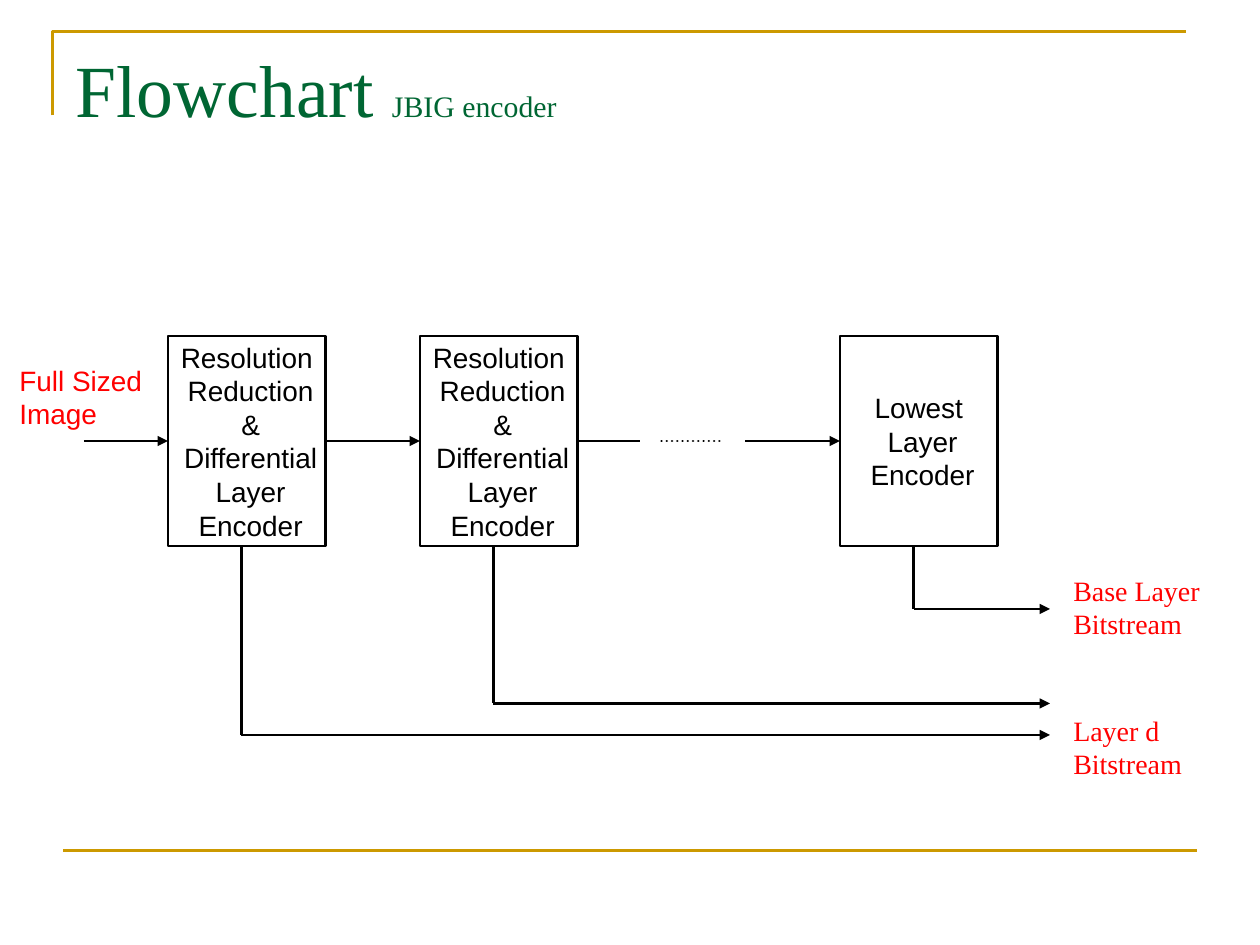
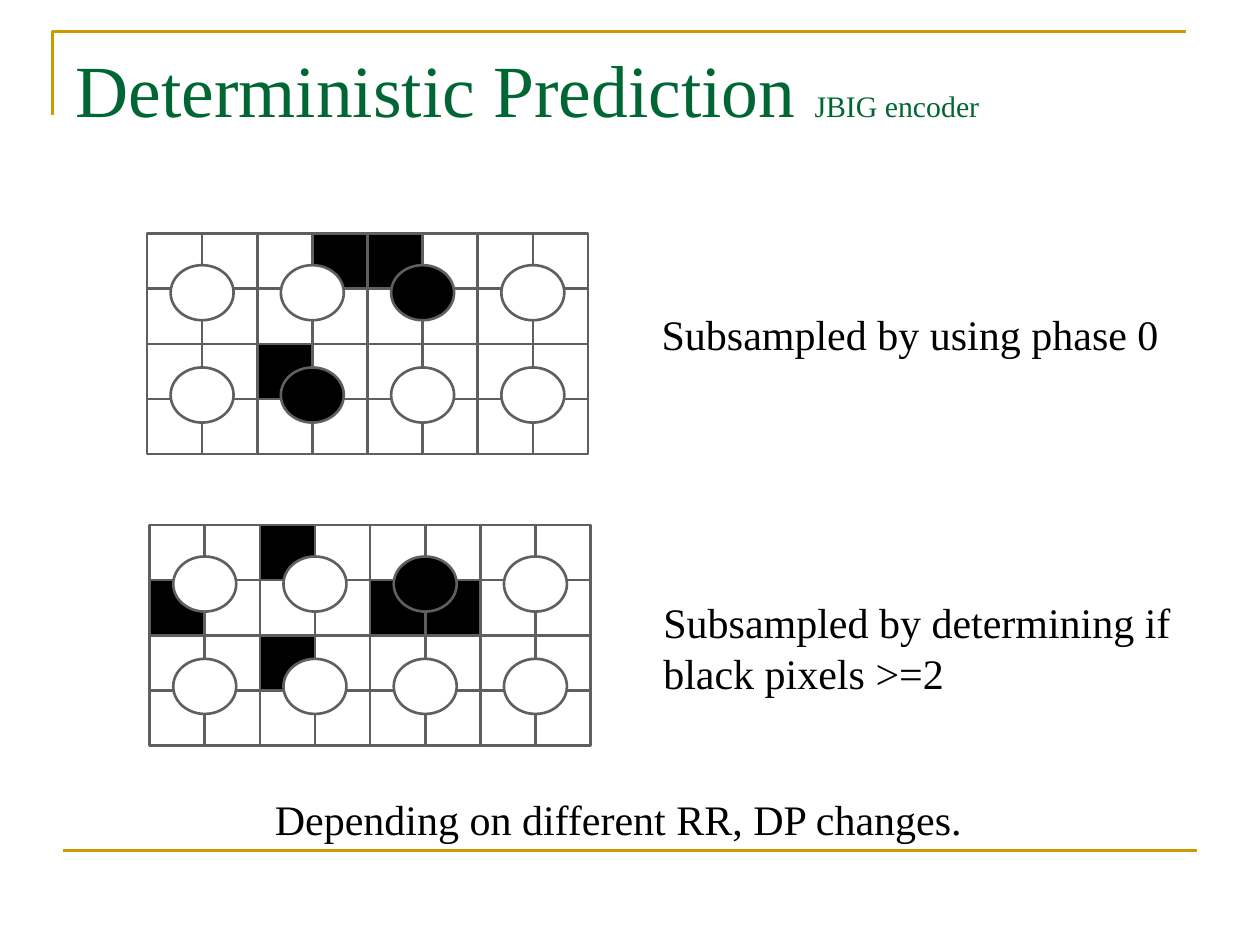
"""Build two slides on the JBIG encoder: its flowchart and deterministic prediction."""
from dataclasses import dataclass
from typing import Optional

from lxml import etree
from pptx import Presentation
from pptx.dml.color import RGBColor
from pptx.enum.dml import MSO_LINE
from pptx.enum.shapes import MSO_CONNECTOR, MSO_SHAPE
from pptx.enum.text import MSO_ANCHOR, MSO_AUTO_SIZE, PP_ALIGN
from pptx.oxml.ns import qn
from pptx.util import Pt

GOLD = RGBColor(0xCC, 0x99, 0x00)
GREEN = RGBColor(0x00, 0x66, 0x33)
RED = RGBColor(0xFF, 0x00, 0x00)
BLACK = RGBColor(0x00, 0x00, 0x00)
WHITE = RGBColor(0xFF, 0xFF, 0xFF)
GREY = RGBColor(0x5F, 0x5F, 0x5F)

SERIF = "Times New Roman"
SANS = "Arial"
RECT = MSO_SHAPE.RECTANGLE
OVAL = MSO_SHAPE.OVAL
STRAIGHT = MSO_CONNECTOR.STRAIGHT
DOTTED = MSO_LINE.ROUND_DOT
CENTER = PP_ALIGN.CENTER
LEFT = PP_ALIGN.LEFT
TOP = MSO_ANCHOR.TOP
MIDDLE = MSO_ANCHOR.MIDDLE
NO_FIT = MSO_AUTO_SIZE.NONE
LEFT_SIDE, RIGHT_SIDE = 1, 3

TITLE_ONLY = 5
LINE_WIDTH = 1.5
BOX_TOP, BOX_W, BOX_H = 192, 90, 120
FLOW_Y = BOX_TOP + BOX_H / 2
DROP_DX = 42
OUTPUT_X = 600
PIXEL = 31.5
SAMPLE_W, SAMPLE_H = 36, 31.5
SAMPLE_TOP, SAMPLE_STEP = 18, 58.5


@dataclass
class Stage:
    """An encoder box, its lines of text and the height of its output."""
    x: float
    lines: list[str]
    output_y: float


@dataclass
class Link:
    """A piece of the main flow, with the stages it joins."""
    x1: float
    x2: float
    source: Optional[int] = None
    target: Optional[int] = None
    dash: Optional[MSO_LINE] = None


@dataclass
class Label:
    """A free text and its box."""
    x: float
    y: float
    w: float
    h: float
    lines: list[str]
    size: float
    font: str = SERIF
    color: RGBColor = BLACK


@dataclass
class PixelGrid:
    """An image and its half-size samples, with # for black."""
    x: float
    y: float
    pixels: list[str]
    samples: list[str]


REDUCTION = ["Resolution", " Reduction", " &", " Differential", " Layer", " Encoder"]
STAGES = [
    Stage(96, REDUCTION, 420),
    Stage(240, REDUCTION, 402),
    Stage(480, ["Lowest", " Layer", " Encoder"], 348),
]
LINKS = [
    Link(48, 96, target=0),
    Link(186, 240, source=0, target=1),
    Link(330, 366, source=1),
    Link(378, 414, dash=DOTTED),
    Link(426, 480, target=2),
]
FLOW_LABELS = [
    Label(4, 204, 90, 46, ["Full Sized", "Image"], 16, SANS, RED),
    Label(606.25, 324, 96, 46, ["Base Layer", "Bitstream"], 16, SERIF, RED),
    Label(606.25, 404, 84, 46, ["Layer d", "Bitstream"], 16, SERIF, RED),
]
GRIDS = [
    PixelGrid(84, 133.5, ["...##...", "........", "..#.....", "........"],
              ["..#.", ".#.."]),
    PixelGrid(85.5, 300, ["..#.....", "#...##..", "..#.....", "........"],
              ["..#.", "...."]),
]
GRID_LABELS = [
    Label(371, 173, 306, 36, ["Subsampled by using phase 0"], 24),
    Label(372, 337.5, 318, 65, ["Subsampled by determining if", "black pixels >=2"], 24),
    Label(150, 450, 416, 36, ["Depending on different RR, DP changes."], 24),
]


def add_run(p, text: str, size: float, font: str, color: RGBColor) -> None:
    """Append one formatted run to a paragraph."""
    r = p.add_run()
    r.text = text
    r.font.size = Pt(size)
    r.font.name = font
    r.font.color.rgb = color


def add_lines(tf, lines: list[str], size: float, font: str, color: RGBColor,
              align: PP_ALIGN) -> None:
    """Write each line as a paragraph of a text frame."""
    for i, line in enumerate(lines):
        p = tf.paragraphs[0] if i == 0 else tf.add_paragraph()
        p.alignment = align
        add_run(p, line, size, font, color)


def add_line(s, x1: float, y1: float, x2: float, y2: float, color: RGBColor = BLACK,
             arrow: bool = False, dash: Optional[MSO_LINE] = None):
    """Draw a straight line without shadow, optionally dashed or with an arrowhead."""
    c = s.shapes.add_connector(STRAIGHT, Pt(x1), Pt(y1), Pt(x2), Pt(y2))
    c.line.width = Pt(LINE_WIDTH)
    c.line.color.rgb = color
    sp_pr = c.element.spPr
    ln = sp_pr.find(qn("a:ln"))
    if dash is not None:
        c.line.dash_style = dash
        ln.set("cap", "rnd")
    if arrow:
        etree.SubElement(ln, qn("a:tailEnd"), type="triangle")
    etree.SubElement(sp_pr, qn("a:effectLst"))
    return c


def add_box(s, kind: MSO_SHAPE, x: float, y: float, w: float, h: float,
            fill: RGBColor, line: RGBColor):
    """Draw a filled and outlined preset shape."""
    sp = s.shapes.add_shape(kind, Pt(x), Pt(y), Pt(w), Pt(h))
    sp.shadow.inherit = False
    sp.fill.solid()
    sp.fill.fore_color.rgb = fill
    sp.line.color.rgb = line
    sp.line.width = Pt(LINE_WIDTH)
    return sp


def add_label(s, label: Label) -> None:
    """Place a free text in a box with room for its longest line."""
    tb = s.shapes.add_textbox(Pt(label.x), Pt(label.y), Pt(label.w), Pt(label.h))
    tb.text_frame.word_wrap = True
    add_lines(tb.text_frame, label.lines, label.size, label.font, label.color, LEFT)


def style_layout(layout) -> None:
    """Place the title of the shared layout."""
    title = layout.placeholders[0]
    title.left, title.top, title.width, title.height = Pt(36), Pt(21.6), Pt(648), Pt(90)
    title.text_frame.vertical_anchor = TOP
    title.text_frame.margin_top = Pt(3.8)
    title.text_frame.auto_size = NO_FIT


def add_frame(s) -> None:
    """Draw the gold frame and hand it to the slide's layout."""
    fb = s.shapes.build_freeform(Pt(30), Pt(66))
    fb.add_line_segments([(Pt(30), Pt(18)), (Pt(678), Pt(18))], close=False)
    corner = fb.convert_to_shape()
    corner.shadow.inherit = False
    corner.fill.background()
    corner.line.color.rgb = GOLD
    corner.line.width = Pt(LINE_WIDTH)
    rule = add_line(s, 36, 486, 684, 486, GOLD)
    for sp in (corner, rule):
        s.slide_layout.shapes.element.append(sp.element)


def add_titled_slide(prs, topic: str):
    """Add a slide with a large topic and the small section name."""
    s = prs.slides.add_slide(prs.slide_layouts[TITLE_ONLY])
    p = s.shapes.title.text_frame.paragraphs[0]
    p.alignment = LEFT
    add_run(p, f"{topic} ", 42, SERIF, GREEN)
    add_run(p, "JBIG encoder", 17, SERIF, GREEN)
    return s


def draw_flowchart(s) -> None:
    """Draw the encoder stages, the flow between them and their outputs."""
    boxes = []
    for stage in STAGES:
        box = add_box(s, RECT, stage.x, BOX_TOP, BOX_W, BOX_H, WHITE, BLACK)
        box.text_frame.vertical_anchor = MIDDLE
        box.text_frame.word_wrap = False
        add_lines(box.text_frame, stage.lines, 16, SANS, BLACK, CENTER)
        boxes.append(box)
    for link in LINKS:
        c = add_line(s, link.x1, FLOW_Y, link.x2, FLOW_Y,
                     arrow=link.target is not None, dash=link.dash)
        if link.source is not None:
            c.begin_connect(boxes[link.source], RIGHT_SIDE)
        if link.target is not None:
            c.end_connect(boxes[link.target], LEFT_SIDE)
    for stage in STAGES:
        x = stage.x + DROP_DX
        add_line(s, x, BOX_TOP + BOX_H, x, stage.output_y)
        add_line(s, x, stage.output_y, OUTPUT_X, stage.output_y, arrow=True)
    for label in FLOW_LABELS:
        add_label(s, label)


def draw_grid(s, grid: PixelGrid) -> None:
    """Draw the pixels, then one sample over each block of four."""
    fills = {"#": BLACK, ".": WHITE}
    for row, marks in enumerate(grid.pixels):
        for col, mark in enumerate(marks):
            add_box(s, RECT, grid.x + col * PIXEL, grid.y + row * PIXEL,
                    PIXEL, PIXEL, fills[mark], GREY)
    for row, marks in enumerate(grid.samples):
        for col, mark in enumerate(marks):
            center_x = grid.x + (2 * col + 1) * PIXEL
            add_box(s, OVAL, center_x - SAMPLE_W / 2,
                    grid.y + SAMPLE_TOP + row * SAMPLE_STEP,
                    SAMPLE_W, SAMPLE_H, fills[mark], GREY)


def main() -> None:
    """Build and save the presentation."""
    prs = Presentation()
    prs.slide_width, prs.slide_height = Pt(720), Pt(540)
    style_layout(prs.slide_layouts[TITLE_ONLY])

    s = add_titled_slide(prs, "Flowchart")
    add_frame(s)
    draw_flowchart(s)

    s = add_titled_slide(prs, "Deterministic Prediction")
    for grid in GRIDS:
        draw_grid(s, grid)
    for label in GRID_LABELS:
        add_label(s, label)

    prs.save("out.pptx")


if __name__ == "__main__":
    main()
